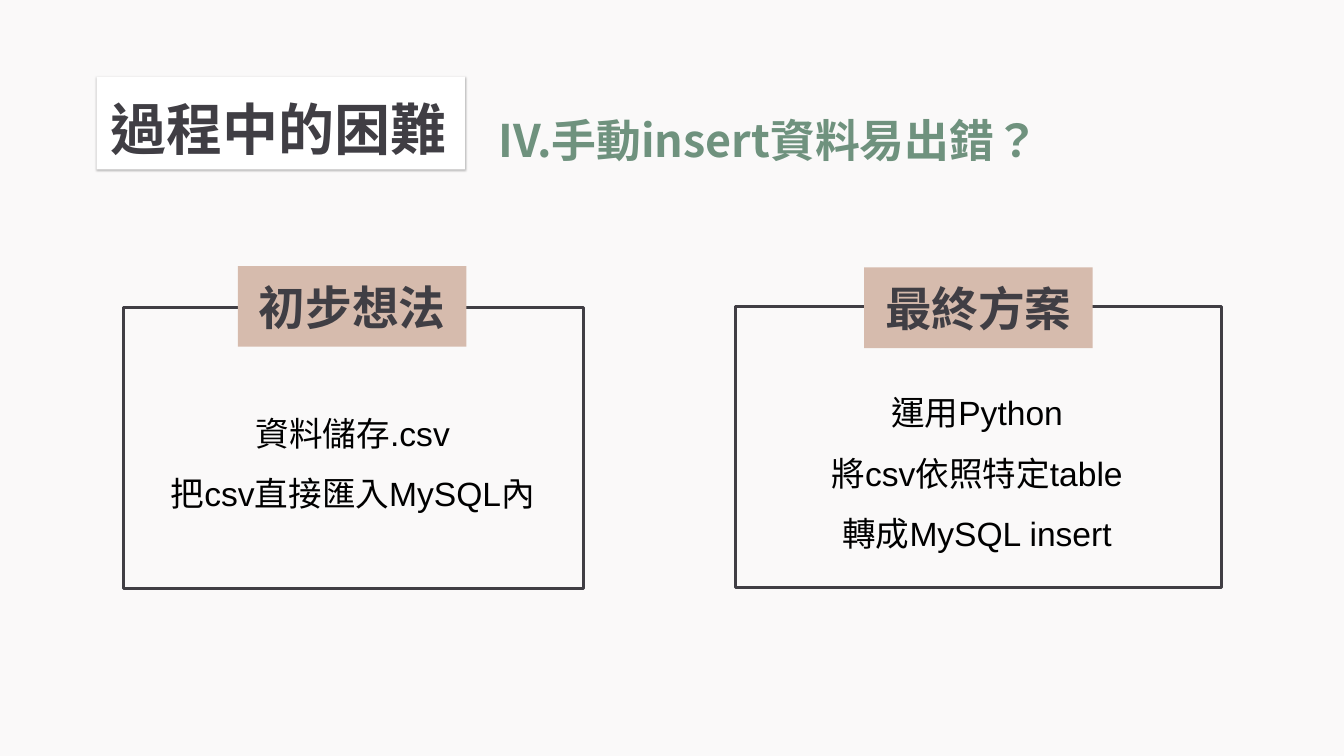
from dataclasses import dataclass

from lxml import etree
from pptx import Presentation
from pptx import util as u
from pptx.dml.color import RGBColor
from pptx.enum import lang, shapes, text
from pptx.oxml import ns

HEADING_FONT = "Noto Sans CJK SC"
BODY_FONT = "Arial"
DARK = "403E44"
GREEN = "6F927E"
TAN = "D6BBAD"

Box = tuple[float, float, float, float]


@dataclass
class TextStyle:
    size: float
    color: str
    font: str = HEADING_FONT
    bold: bool = True
    alignment: text.PP_ALIGN = text.PP_ALIGN.LEFT
    line_spacing: float = 1.0


@dataclass
class Panel:
    frame: Box
    label_at: tuple[float, float]
    label: str
    body: Box
    lines: list[str]


TITLE = TextStyle(30, DARK)
SUBTITLE = TextStyle(24, GREEN)
LABEL = TextStyle(25, DARK, alignment=text.PP_ALIGN.CENTER)
BODY = TextStyle(18, "000000", BODY_FONT, False, text.PP_ALIGN.CENTER, 1.5)

PANELS = [
    Panel((0.92, 2.29, 3.42, 2.09), (1.77, 1.98), "初步想法",
          (1.12, 2.87, 3.01, 0.95), ["資料儲存.csv", "把csv直接匯入MySQL內"]),
    Panel((5.47, 2.28, 3.62, 2.09), (6.43, 1.99), "最終方案",
          (5.9, 2.72, 2.74, 1.41),
          ["運用Python", "將csv依照特定table", "轉成MySQL insert"]),
]


def rgb(color: str) -> RGBColor:
    return RGBColor.from_string(color)


def inches(box: Box) -> list[u.Length]:
    return [u.Inches(value) for value in box]


def write(frame, lines: list[str], style: TextStyle) -> None:
    frame.word_wrap = True
    frame.text = "\n".join(lines)
    for paragraph in frame.paragraphs:
        paragraph.alignment = style.alignment
        paragraph.line_spacing = style.line_spacing
        font = paragraph.font
        font.size = u.Pt(style.size)
        font.bold = style.bold
        font.name = style.font
        font.color.rgb = rgb(style.color)
        properties = paragraph._p.pPr.find(ns.qn("a:defRPr"))
        etree.SubElement(properties, ns.qn("a:ea"), typeface=style.font)
        for run in paragraph.runs:
            run.font.language_id = lang.MSO_LANGUAGE_ID.TRADITIONAL_CHINESE


def set_insets(frame) -> None:
    frame.margin_left = frame.margin_right = u.Inches(0.1)
    frame.margin_top = frame.margin_bottom = u.Inches(0.1)


def add_rectangle(slide, box: Box, fill: str | None = None, line: str | None = None):
    shape = slide.shapes.add_shape(shapes.MSO_SHAPE.RECTANGLE, *inches(box))
    shape.shadow.inherit = False
    if fill:
        shape.fill.solid()
        shape.fill.fore_color.rgb = rgb(fill)
    else:
        shape.fill.background()
    if line:
        shape.line.color.rgb = rgb(line)
        shape.line.width = u.Pt(1.5)
    else:
        shape.line.fill.background()
    return shape


def add_text(slide, box: Box, lines: list[str], style: TextStyle) -> None:
    frame = slide.shapes.add_textbox(*inches(box)).text_frame
    write(frame, lines, style)
    frame.auto_size = text.MSO_AUTO_SIZE.SHAPE_TO_FIT_TEXT


def add_shadow(shape) -> None:
    effects = shape.element.spPr.find(ns.qn("a:effectLst"))
    shadow = etree.SubElement(
        effects, ns.qn("a:outerShdw"), blurRad=str(u.Pt(1.1)), dist=str(u.Pt(0.8)),
        dir=str(81 * 60000), algn="ctr", rotWithShape="0")
    color = etree.SubElement(shadow, ns.qn("a:srgbClr"), val="000000")
    etree.SubElement(color, ns.qn("a:alpha"), val="25000")


def add_title(slide) -> None:
    card = add_rectangle(slide, (0.72, 0.57, 2.74, 0.69), fill="FFFFFF")
    add_shadow(card)
    title = slide.shapes.title
    card.element.addnext(title.element)
    title.left, title.top, title.width, title.height = inches((0.72, 0.6, 8.56, 0.63))
    frame = title.text_frame
    write(frame, ["過程中的困難"], TITLE)
    set_insets(frame)
    frame.vertical_anchor = text.MSO_ANCHOR.TOP
    frame.auto_size = text.MSO_AUTO_SIZE.NONE


def add_panel(slide, panel: Panel) -> None:
    add_rectangle(slide, panel.frame, line=DARK)
    label = add_rectangle(slide, (*panel.label_at, 1.7, 0.6), fill=TAN)
    write(label.text_frame, [panel.label], LABEL)
    set_insets(label.text_frame)
    label.text_frame.vertical_anchor = text.MSO_ANCHOR.MIDDLE
    add_text(slide, panel.body, panel.lines, BODY)


def main() -> None:
    presentation = Presentation()
    presentation.slide_width = u.Inches(10)
    presentation.slide_height = u.Inches(10 * 9 / 16)
    slide = presentation.slides.add_slide(presentation.slide_layouts[5])
    slide.background.fill.solid()
    slide.background.fill.fore_color.rgb = rgb("FAF9F9")
    add_title(slide)
    for panel in PANELS:
        add_panel(slide, panel)
    add_text(slide, (3.61, 0.79, 3.98, 0.5), ["IV.手動insert資料易出錯？"], SUBTITLE)
    presentation.save("out.pptx")


if __name__ == "__main__":
    main()
